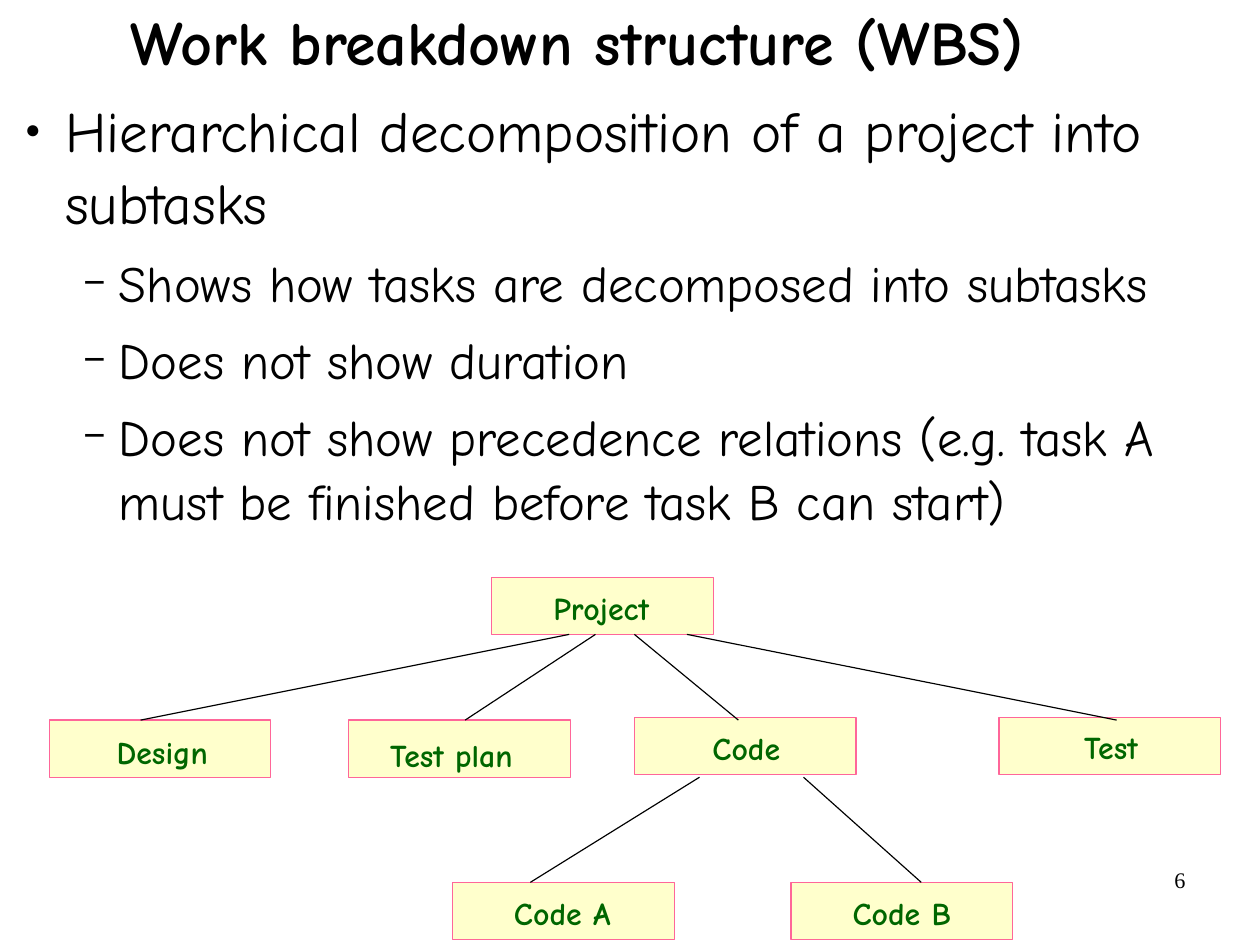
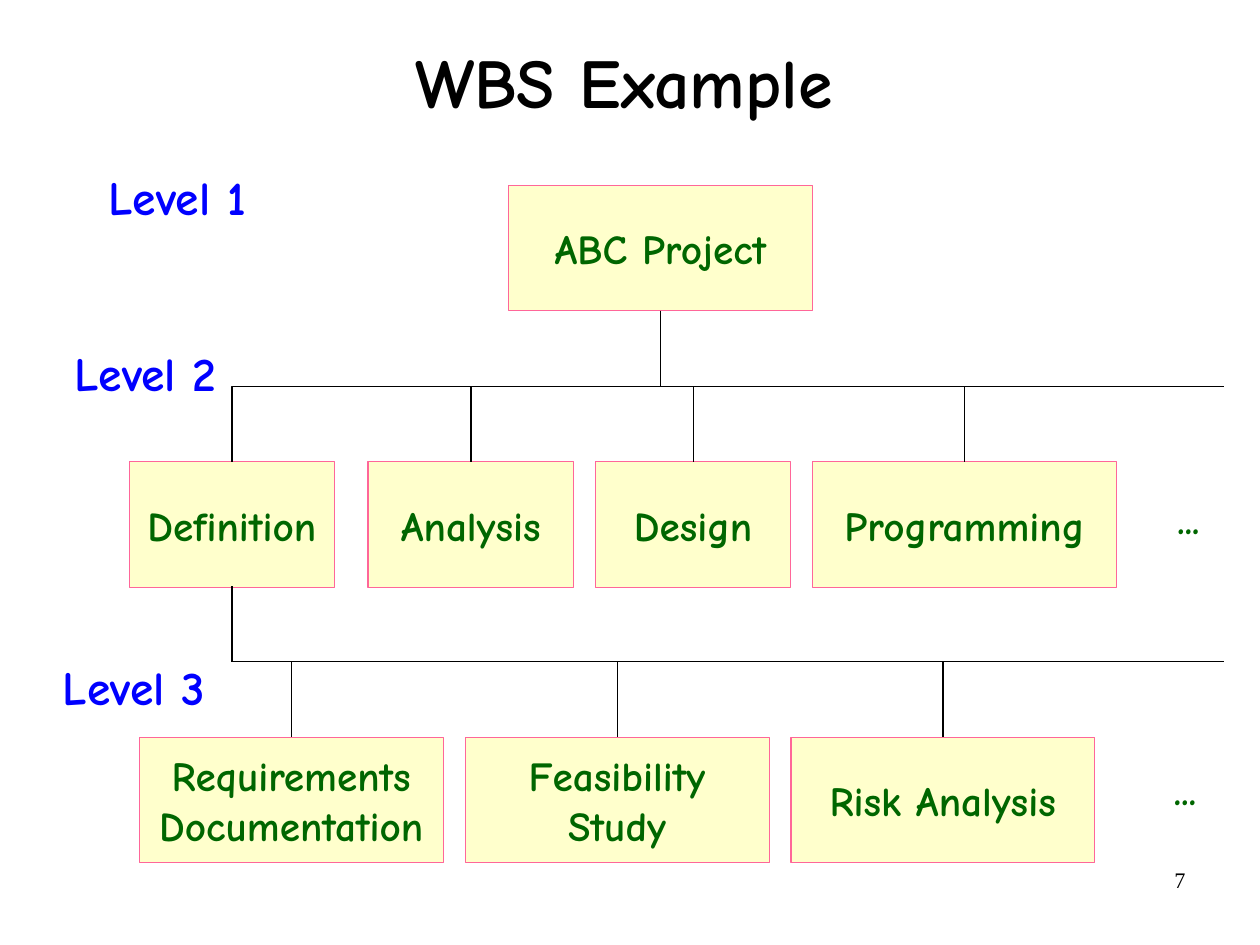
"""Build two slides on the work breakdown structure."""
from lxml import etree
from pptx import Presentation
from pptx import util as u
from pptx.dml.color import RGBColor
from pptx.enum import shapes, text
from pptx.oxml import ns

PX = 9144
HUES = {"ink": "000000", "page": "FFFFFF", "fill": "FFFFCC",
        "edge": "FF6699", "leaf": "006600", "level": "0000FF"}
FONT = "Comic Neue"
MID, TOP = text.MSO_ANCHOR.MIDDLE, text.MSO_ANCHOR.TOP
LEFT, MID_X, RIGHT = text.PP_ALIGN.LEFT, text.PP_ALIGN.CENTER, text.PP_ALIGN.RIGHT


def hue(name):
    """Return a named colour."""
    return RGBColor.from_string(HUES[name])


def px(*nums):
    """Turn px into EMU."""
    return [u.Emu(round(n * PX)) for n in nums]


def place(shape, box):
    """Move a shape to a px box."""
    shape.left, shape.top, shape.width, shape.height = px(*box)


def frame(shape, pad=(0, 0, 0, 0), anchor=TOP, wrap=True):
    """Set up and return a text frame."""
    tf = shape.text_frame
    tf.auto_size = text.MSO_AUTO_SIZE.NONE
    tf.word_wrap = wrap
    tf.vertical_anchor = anchor
    tf.margin_left, tf.margin_top, tf.margin_right, tf.margin_bottom = px(*pad)
    return tf


def write(tf, lines, size, ink="ink", bold=True, align=MID_X, font=FONT):
    """Add one paragraph per line and return them."""
    paras = []
    for i, line in enumerate(lines):
        para = tf.add_paragraph() if i else tf.paragraphs[0]
        para.alignment = align
        run = para.add_run()
        run.text = line
        run.font.size, run.font.bold, run.font.name = u.Pt(size), bold, font
        run.font.color.rgb = hue(ink)
        paras.append(para)
    return paras


def start(deck, layout, title, box, size, num):
    """Add a slide with its title and page number."""
    slide = deck.slides.add_slide(deck.slide_layouts[layout])
    slide.background.fill.solid()
    slide.background.fill.fore_color.rgb = hue("page")
    place(slide.shapes.title, box)
    tf = frame(slide.shapes.title, anchor=MID)
    write(tf, [title], size)[0].line_spacing = 0.92
    label(slide, num, (790, 753, 257, 57), 14, "ink", (10, 5, 10, 5),
          bold=False, align=RIGHT, font="Times New Roman")
    return slide


def label(slide, line, box, size, ink, pad=(11, 6, 11, 6), **style):
    """Add a line of loose text."""
    shape = slide.shapes.add_textbox(*px(*box))
    write(frame(shape, pad), [line], size, ink, **style)


def node(slide, name, box, size, pad=(0, 0, 0, 0)):
    """Add a task box with centred text."""
    shape = slide.shapes.add_shape(shapes.MSO_SHAPE.RECTANGLE, *px(*box))
    shape.shadow.inherit = False
    shape.fill.solid()
    shape.fill.fore_color.rgb = hue("fill")
    shape.line.color.rgb = hue("edge")
    shape.line.width = u.Pt(0.75)
    write(frame(shape, pad, MID, False), name.split("\n"), size, "leaf")


def link(slide, x1, y1, x2, y2, kind=shapes.MSO_CONNECTOR.STRAIGHT):
    """Add and return a thin connector."""
    line = slide.shapes.add_connector(kind, *px(x1, y1, x2, y2))
    line.line.color.rgb = hue("ink")
    line.line.width = u.Pt(0.75)
    etree.SubElement(line._element.spPr, ns.qn("a:effectLst"))
    return line


def bend(slide, x1, y1, x2, y2, preset="bentConnector3"):
    """Add an elbow that leaves its start downwards."""
    mx, my = (x1 + x2) / 2, (y1 + y2) / 2
    dx, dy = abs(x2 - x1) / 2, (y2 - y1) / 2
    line = link(slide, mx - dy, my - dx, mx + dy, my + dx, shapes.MSO_CONNECTOR.ELBOW)
    props = line._element.spPr
    props.find(ns.qn("a:prstGeom")).set("prst", preset)
    xfrm = props.find(ns.qn("a:xfrm"))
    right = x2 > x1
    xfrm.set("rot", str((270 if right else 90) * 60000))
    if right:
        xfrm.set("flipH", "1")


def mark(para, char, pct, left, hang):
    """Give a paragraph its bullet and indent."""
    ppr = para._p.get_or_add_pPr()
    ppr.set("marL", str(left * PX))
    ppr.set("indent", str(-hang * PX))
    clr = etree.SubElement(ppr, ns.qn("a:buClr"))
    etree.SubElement(clr, ns.qn("a:srgbClr"), val=HUES["ink"])
    etree.SubElement(ppr, ns.qn("a:buSzPct"), val=str(pct * 1000))
    etree.SubElement(ppr, ns.qn("a:buChar"), char=char)


def points(slide, box, head, subs):
    """Fill the body with a point and its sub-points."""
    body = slide.placeholders[1]
    place(body, box)
    paras = write(frame(body), [head] + subs, 32, bold=False, align=LEFT)
    paras[0].runs[0].font.size = u.Pt(36)
    for i, para in enumerate(paras):
        para.level = 1 if i else 0
        para.line_spacing = 1.05
        para.space_before = para.space_after = u.Pt(4 if i else 4.5)
        mark(para, *(("−", 75, 94, 31) if i else ("●", 45, 47, 35)))


def tree(slide, x, y):
    """Draw the small task tree from its top left corner."""
    wide, high = 194, 50
    tasks = [("Project", 387, 0, (0, 3, 2, 0)), ("Design", 0, 125, (4, 6, 0, 0)),
             ("Test plan", 262, 125, (0, 10, 14, 0)), ("Code", 512, 123, (2, 3, 0, 0)),
             ("Test", 831, 123, (2, 1, 0, 0)), ("Code A", 353, 267, (0, 3, 2, 0)),
             ("Code B", 649, 267, (0, 3, 0, 0))]
    for name, dx, dy, pad in tasks:
        node(slide, name, (x + dx, y + dy, wide, high), 20, pad)
    spans = [(455, 80, 50, 125), (478, 364, 50, 125), (512, 603, 50, 125),
             (558, 934, 50, 125), (569, 421, 175, 267), (660, 763, 175, 267)]
    for x1, x2, y1, y2 in spans:
        link(slide, x + x1, y + y1, x + x2, y + y2)


def tier(slide, x, y, right, trunk, tasks):
    """Hang a row of tasks from a trunk, with an open branch to the right."""
    high, gap = 110, 66
    top = y + 2 * gap
    for name, dx, wide in tasks:
        node(slide, name, (x + dx, top, wide, high), 26)
        bend(slide, trunk, y, x + dx + wide / 2, top)
    bend(slide, trunk, y, right, y + gap, "bentConnector2")


def chart(slide, x, y, right):
    """Draw the three-level chart from its top left corner."""
    node(slide, "ABC Project", (x + 332, y, 266, 110), 26)
    tier(slide, x, y + 110, right, x + 465,
         [("Definition", 0, 180), ("Analysis", 209, 180),
          ("Design", 408, 171), ("Programming", 598, 266)])
    tier(slide, x + 9, y + 351, right, x + 90,
         [(name, i * 285, 266) for i, name in enumerate(
             ["Requirements\nDocumentation", "Feasibility\nStudy", "Risk Analysis"])])
    for dx, dy in [(906, 264), (903, 501)]:
        label(slide, "...", (x + dx, y + dy, 42, 54), 26, "leaf", align=LEFT)
    for i, (dx, dy) in enumerate([(-29, -21), (-59, 133), (-69, 408)], 1):
        label(slide, f"Level {i}", (x + dx, y + dy, 148, 61), 30, "level", align=LEFT)


def main():
    """Build and save the deck."""
    deck = Presentation()
    deck.slide_width, deck.slide_height = u.Cm(28), u.Cm(21)
    one = start(deck, 1, "Work breakdown structure (WBS)", (50, 2, 910, 75), 39, "6")
    points(one, (10, 80, 1085, 380),
           "Hierarchical decomposition of a project into subtasks",
           ["Shows how tasks are decomposed into subtasks",
            "Does not show duration",
            "Does not show precedence relations (e.g. task A must be "
            "finished before task B can start)"])
    tree(one, 43, 505)
    two = start(deck, 5, "WBS Example", (76, 0, 940, 150), 44, "7")
    chart(two, 113, 162, 1071)
    deck.save("out.pptx")


if __name__ == "__main__":
    main()
